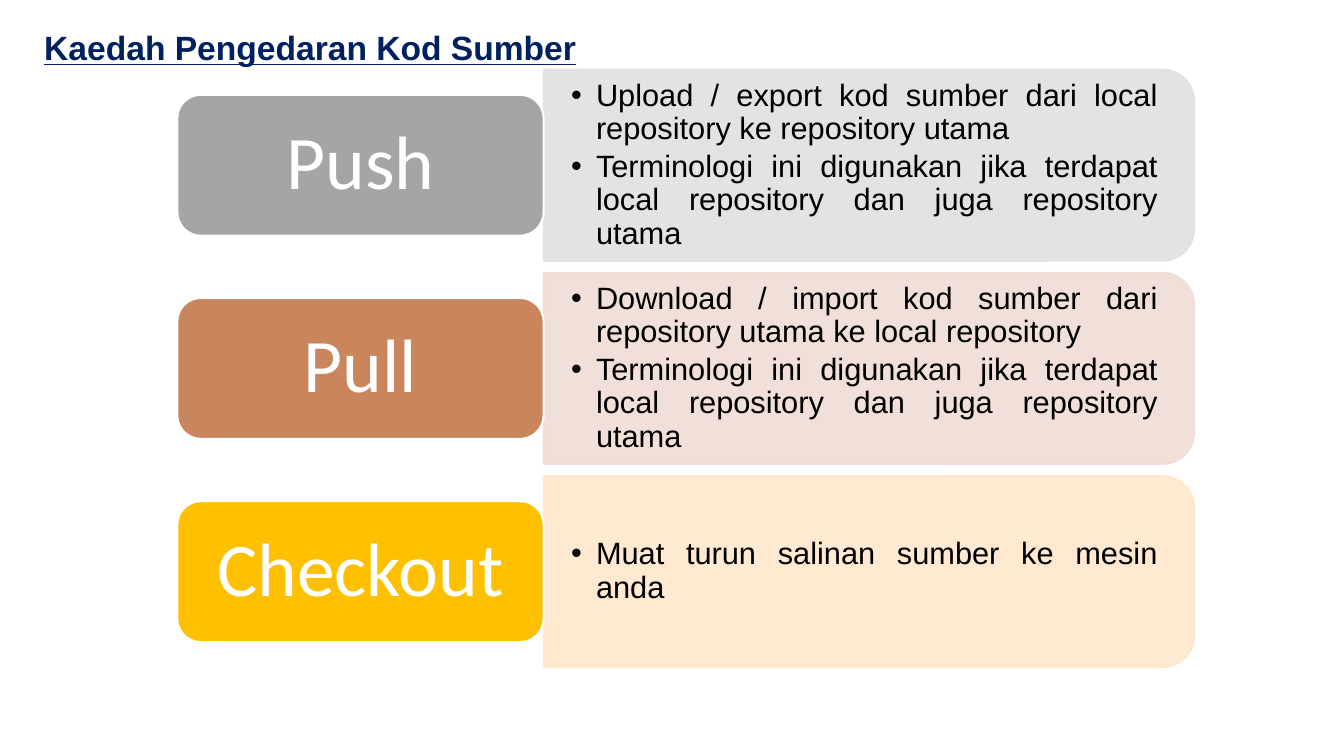
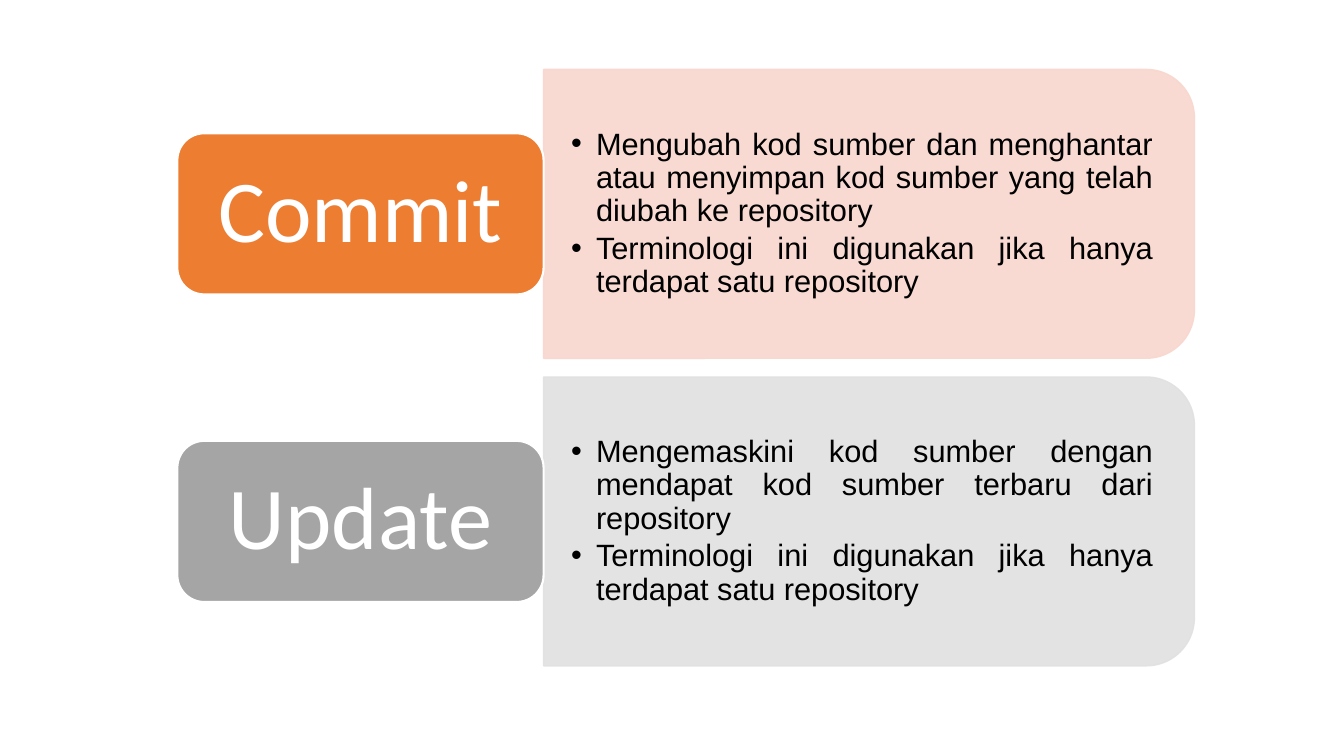
"""Build two slides that explain the terms of source code distribution."""
import pptx
import pptx.dml.color
import pptx.enum.shapes
import pptx.enum.text
import pptx.oxml.ns
import pptx.util
from lxml import etree

Cm, Pt = pptx.util.Cm, pptx.util.Pt
MSO_SHAPE = pptx.enum.shapes.MSO_SHAPE
PP_ALIGN = pptx.enum.text.PP_ALIGN
MSO_ANCHOR = pptx.enum.text.MSO_ANCHOR
qn = pptx.oxml.ns.qn

NAVY, WHITE, BLACK = "002060", "FFFFFF", "000000"
GREY, PALE_GREY = "A5A5A5", "E1E1E1"
LABEL_LEFT, LABEL_WIDTH = 4.47, 9.23
PANEL_LEFT, PANEL_WIDTH, FIRST_TOP = 13.7, 16.4, 1.75
BULLET_INDENT = Cm(0.63)


def paint(color_format, hex_color):
    color_format.rgb = pptx.dml.color.RGBColor.from_string(hex_color)


def write(paragraph, text, font_name, size, hex_color, bold=False):
    run = paragraph.add_run()
    run.text = text
    run.font.name = font_name
    run.font.size = Pt(size)
    run.font.bold = bold
    paint(run.font.color, hex_color)
    return run


two_stores = ("Terminologi ini digunakan jika terdapat local repository "
              "dan juga repository utama")
one_store = "Terminologi ini digunakan jika hanya terdapat satu repository"

pages = [
    dict(title="Kaedah Pengedaran Kod Sumber", panel_height=4.83, pitch=5.12,
         label_height=3.55, label_size=54, terms=[
             ("Push", GREY, PALE_GREY, [
                 "Upload / export kod sumber dari local repository ke repository utama",
                 two_stores]),
             ("Pull", "C9855C", "F0DDD5", [
                 "Download / import kod sumber dari repository utama ke local repository",
                 two_stores]),
             ("Checkout", "FFC000", "FFE7CB", [
                 "Muat turun salinan sumber ke mesin anda"])]),
    dict(title=None, panel_height=7.28, pitch=7.75,
         label_height=4.06, label_size=63, terms=[
             ("Commit", "ED7D31", "F8D7CE", [
                 "Mengubah kod sumber dan menghantar atau menyimpan kod sumber "
                 "yang telah diubah ke repository",
                 one_store]),
             ("Update", GREY, PALE_GREY, [
                 "Mengemaskini kod sumber dengan mendapat kod sumber terbaru "
                 "dari repository",
                 one_store])]),
]

deck = pptx.Presentation()
deck.slide_width, deck.slide_height = Cm(33.87), Cm(19.05)
comparison = deck.slide_layouts.get_by_name("Comparison")

for page in pages:
    slide = deck.slides.add_slide(comparison)
    heading, *lists = slide.placeholders

    if page["title"]:
        heading.left, heading.top = Cm(0.86), Cm(0.56)
        heading.width, heading.height = Cm(14.05), Cm(1.27)
        heading.text_frame.word_wrap = False
        heading.text_frame.auto_size = pptx.enum.text.MSO_AUTO_SIZE.NONE
        heading.text_frame.vertical_anchor = MSO_ANCHOR.TOP
        title_line = heading.text_frame.paragraphs[0]
        title_line.alignment = PP_ALIGN.LEFT
        write(title_line, page["title"], "Arial", 24, NAVY, True).font.underline = True

    height = page["panel_height"]
    corner_inset = 0.29 * height / 6

    for row, (term, strong, pale, points) in enumerate(page["terms"]):
        top = FIRST_TOP + row * page["pitch"]
        middle = top + height / 2

        panel = slide.shapes.add_shape(
            MSO_SHAPE.ROUND_2_SAME_RECTANGLE,
            Cm(PANEL_LEFT + (PANEL_WIDTH - height) / 2), Cm(middle - PANEL_WIDTH / 2),
            Cm(height), Cm(PANEL_WIDTH))
        panel.rotation = 90
        panel.shadow.inherit = False
        panel.fill.solid()
        paint(panel.fill.fore_color, pale)
        paint(panel.line.color, pale)
        panel.line.width = Pt(1)
        for tint in panel.element.spPr.iter(qn("a:srgbClr")):
            etree.SubElement(tint, qn("a:alpha"), val="90000")

        explanation = lists[row]
        explanation.element.getparent().append(explanation.element)
        explanation.left, explanation.top = Cm(PANEL_LEFT), Cm(top + corner_inset)
        explanation.width = Cm(PANEL_WIDTH - corner_inset)
        explanation.height = Cm(height - 2 * corner_inset)
        frame = explanation.text_frame
        frame.word_wrap = True
        frame.auto_size = pptx.enum.text.MSO_AUTO_SIZE.NONE
        frame.vertical_anchor = MSO_ANCHOR.MIDDLE
        frame.margin_left = frame.margin_right = Cm(0.69)
        frame.margin_top = frame.margin_bottom = Cm(0.36)
        for number, point in enumerate(points):
            item = frame.add_paragraph() if number else frame.paragraphs[0]
            item.alignment = PP_ALIGN.JUSTIFY
            item.line_spacing = 0.9
            item.space_before, item.space_after = Pt(0), Pt(3.3)
            properties = item._p.get_or_add_pPr()
            properties.set("marL", str(BULLET_INDENT))
            properties.set("indent", str(-BULLET_INDENT))
            etree.SubElement(properties, qn("a:buFont"), typeface="Arial")
            etree.SubElement(properties, qn("a:buChar"), char="•")
            write(item, point, "Arial", 22, BLACK)

        label = slide.shapes.add_shape(
            MSO_SHAPE.ROUNDED_RECTANGLE,
            Cm(LABEL_LEFT), Cm(middle - page["label_height"] / 2),
            Cm(LABEL_WIDTH), Cm(page["label_height"]))
        label.shadow.inherit = False
        label.fill.solid()
        paint(label.fill.fore_color, strong)
        paint(label.line.color, WHITE)
        label.line.width = Pt(1.5)
        label.text_frame.word_wrap = True
        label.text_frame.vertical_anchor = MSO_ANCHOR.MIDDLE
        label_line = label.text_frame.paragraphs[0]
        label_line.alignment = PP_ALIGN.CENTER
        label_line.line_spacing = 0.9
        label_line.space_after = Pt(0.35 * page["label_size"])
        write(label_line, term, "Calibri", page["label_size"], WHITE)

    for placeholder in list(slide.placeholders):
        if not placeholder.text_frame.text:
            placeholder.element.getparent().remove(placeholder.element)

deck.save("out.pptx")
